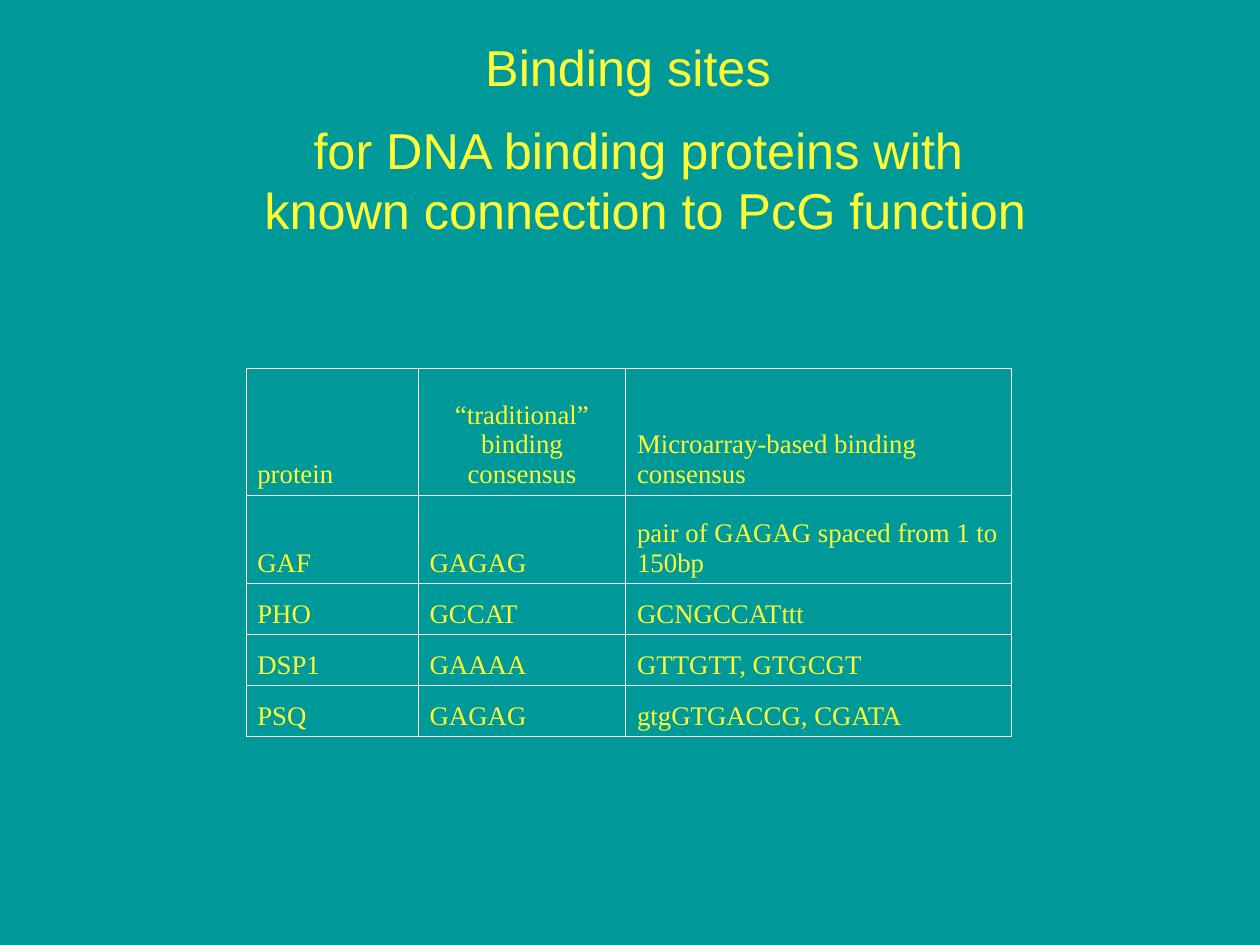
from dataclasses import dataclass

from lxml import etree
from pptx import Presentation
from pptx.dml.color import RGBColor
from pptx.enum import text
from pptx.oxml import ns
from pptx.util import Inches, Pt


@dataclass(frozen=True)
class Theme:
    """Colours, fonts and type sizes of the slide."""
    background: RGBColor = RGBColor.from_string("009999")
    ink: RGBColor = RGBColor.from_string("FFFC35")
    border: str = "FFFFFF"
    border_width: float = 0.45
    heading_font: str = "Arial"
    heading_size: int = 32
    table_font: str = "Times New Roman"
    table_size: int = 17


THEME = Theme()
POINTS_PER_INCH = 72
PAGE_POINTS = (800.25, 600.25)
COLUMN_WIDTHS = (1.52, 1.83, 3.4)
ROW_HEIGHTS = (1.12, 0.78, 0.45, 0.45, 0.45)
BINDING_SITES = (
    ("protein", "“traditional” binding consensus", "Microarray-based binding consensus"),
    ("GAF", "GAGAG", "pair of GAGAG spaced from 1 to 150bp"),
    ("PHO", "GCCAT", "GCNGCCATttt"),
    ("DSP1", "GAAAA", "GTTGTT, GTGCGT"),
    ("PSQ", "GAGAG", "gtgGTGACCG, CGATA"),
)


def style_paragraph(para, font_name, size, align):
    """Set the font, colour and alignment of a paragraph."""
    para.alignment = align
    para.font.name = font_name
    para.font.size = Pt(size)
    para.font.color.rgb = THEME.ink


def add_heading(page, box, lines, align, anchor, margins, wrap):
    """Add heading lines to the given box."""
    frame = page.shapes.add_textbox(*map(Inches, box)).text_frame
    frame.word_wrap = wrap
    frame.vertical_anchor = anchor
    frame.margin_left = frame.margin_right = Inches(margins[0])
    frame.margin_top = frame.margin_bottom = Inches(margins[1])
    frame.text = "\n".join(lines)
    for para in frame.paragraphs:
        style_paragraph(para, THEME.heading_font, THEME.heading_size, align)


def add_borders(cell):
    """Draw a thin line on all four sides of a cell."""
    properties = cell._tc.get_or_add_tcPr()
    for index, side in enumerate(("lnL", "lnR", "lnT", "lnB")):
        line = etree.Element(ns.qn(f"a:{side}"), w=str(Pt(THEME.border_width)))
        fill = etree.SubElement(line, ns.qn("a:solidFill"))
        etree.SubElement(fill, ns.qn("a:srgbClr"), val=THEME.border)
        properties.insert(index, line)


def add_site_table(page, box):
    """Add the table of binding sites to the given box."""
    table = page.shapes.add_table(
        len(ROW_HEIGHTS), len(COLUMN_WIDTHS), *map(Inches, box)).table
    table.first_row = table.horz_banding = False
    for column, width in zip(table.columns, COLUMN_WIDTHS):
        column.width = Inches(width)
    for row, height, words in zip(table.rows, ROW_HEIGHTS, BINDING_SITES):
        row.height = Inches(height)
        for cell, word in zip(row.cells, words):
            cell.text = word
            cell.fill.background()
            cell.vertical_anchor = text.MSO_ANCHOR.BOTTOM
            style_paragraph(cell.text_frame.paragraphs[0], THEME.table_font,
                            THEME.table_size, text.PP_ALIGN.LEFT)
            add_borders(cell)
    table.cell(0, 1).text_frame.paragraphs[0].alignment = text.PP_ALIGN.CENTER


def build_binding_slide(deck):
    """Build the slide with its two headings and its table."""
    page = deck.slides.add_slide(deck.slide_layouts[6])
    page.background.fill.solid()
    page.background.fill.fore_color.rgb = THEME.background
    add_heading(page, (4.17, 0.42, 4.58, 0.33), ["Binding sites"],
                text.PP_ALIGN.LEFT, text.MSO_ANCHOR.MIDDLE, (0.11, 0.06), True)
    add_site_table(page, (2.17, 3.25, sum(COLUMN_WIDTHS), sum(ROW_HEIGHTS)))
    add_heading(page, (2.11, 1, 7.05, 1.17),
                ["for DNA binding proteins with", " known connection to PcG function"],
                text.PP_ALIGN.CENTER, text.MSO_ANCHOR.TOP, (0.1, 0.05), False)


def main():
    """Create and save the deck."""
    deck = Presentation()
    deck.slide_width, deck.slide_height = (
        Inches(points / POINTS_PER_INCH) for points in PAGE_POINTS)
    build_binding_slide(deck)
    deck.save("out.pptx")


if __name__ == "__main__":
    main()
